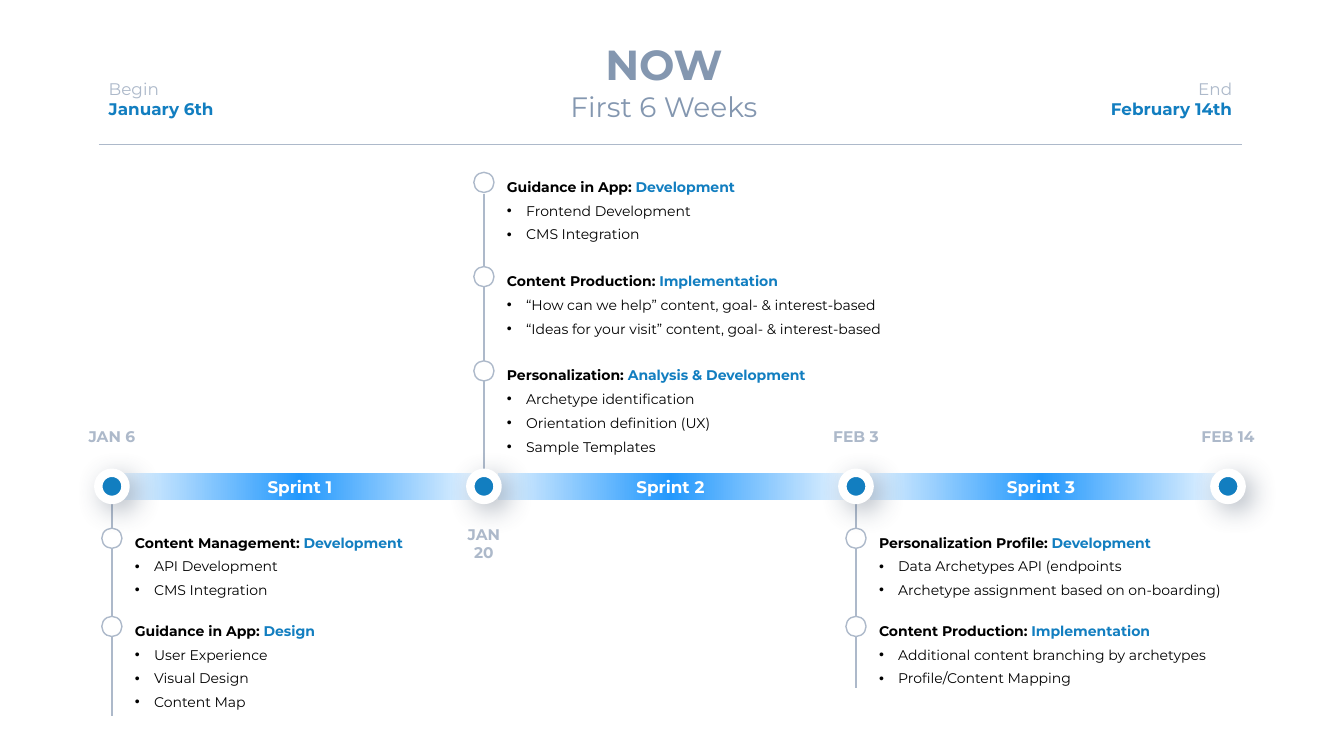
from copy import deepcopy
from dataclasses import dataclass

from lxml.etree import SubElement
from pptx import Presentation
from pptx.dml.color import RGBColor
from pptx.enum.shapes import MSO_CONNECTOR, MSO_SHAPE
from pptx.enum.text import MSO_ANCHOR, MSO_AUTO_SIZE, PP_ALIGN
from pptx.oxml.ns import qn
from pptx.util import Inches, Pt


@dataclass(frozen=True)
class Theme:
    font: str = "Montserrat"
    black: RGBColor = RGBColor.from_string("000000")
    white: RGBColor = RGBColor.from_string("FFFFFF")
    blue: RGBColor = RGBColor.from_string("127EC0")
    bright: RGBColor = RGBColor.from_string("2298FD")
    gray: RGBColor = RGBColor.from_string("ADB9CA")
    slate: RGBColor = RGBColor.from_string("8497B0")
    shadow: RGBColor = RGBColor.from_string("44546A")
    title: int = 30
    subtitle: int = 20
    label: int = 12
    date: int = 11
    body: int = 10


theme = Theme()
presentation = Presentation()
presentation.slide_width = Inches(13.33)
presentation.slide_height = Inches(7.5)
slide = presentation.slides.add_slide(presentation.slide_layouts[5])


def add_run(paragraph, text, size, color, bold=False):
    run = paragraph.add_run()
    run.text = text
    run.font.name = theme.font
    run.font.size = Pt(size)
    run.font.bold = bold
    run.font.color.rgb = color


def add_line(left, top, right, bottom, width):
    line = slide.shapes.add_connector(
        MSO_CONNECTOR.STRAIGHT, Inches(left), Inches(top), Inches(right), Inches(bottom)
    )
    line.line.color.rgb = theme.gray
    line.line.width = Pt(width)
    SubElement(line._element.spPr, qn("a:effectLst"))


title = slide.shapes.title
title.left, title.top = Inches(5.44), Inches(0.28)
title.width, title.height = Inches(2.29), Inches(1.04)
title_frame = title.text_frame
title_frame.auto_size = MSO_AUTO_SIZE.NONE
title_frame.word_wrap = False
title_frame.vertical_anchor = MSO_ANCHOR.MIDDLE
title_lines = [("NOW", theme.title, True), ("First 6 Weeks", theme.subtitle, False)]
for index, (text, size, bold) in enumerate(title_lines):
    paragraph = title_frame.paragraphs[0] if index == 0 else title_frame.add_paragraph()
    paragraph.alignment = PP_ALIGN.CENTER
    add_run(paragraph, text, size, theme.slate, bold)

endpoints = [
    (0.98, 1.25, PP_ALIGN.LEFT, "Begin", "January 6th"),
    (10.91, 1.41, PP_ALIGN.RIGHT, "End", "February 14th"),
]
for left, width, alignment, caption, date in endpoints:
    box = slide.shapes.add_textbox(Inches(left), Inches(0.73), Inches(width), Inches(0.5))
    box.text_frame.word_wrap = False
    paragraph = box.text_frame.paragraphs[0]
    paragraph.alignment = alignment
    add_run(paragraph, caption, theme.label, theme.gray)
    paragraph = box.text_frame.add_paragraph()
    paragraph.alignment = alignment
    add_run(paragraph, date, theme.label, theme.blue, True)

add_line(0.98, 1.43, 12.32, 1.43, 0.5)

bar_top, dot_size, node_size = 4.69, 0.27, 0.2
milestones = [1.11 + 3.69 * index for index in range(4)]

branches = [
    (milestones[1], 1.92, bar_top, 1.71, 0.935, [
        (2.49, "Guidance in App: ", "Development",
         ["Frontend Development", "CMS Integration"]),
        (3.96, "Content Production: ", "Implementation",
         ["“How can we help” content, goal- & interest-based",
          "“Ideas for your visit” content, goal- & interest-based"]),
        (3.2, "Personalization: ", "Analysis & Development",
         ["Archetype identification", "Orientation definition (UX)", "Sample Templates"]),
    ]),
    (milestones[0], 4.96, 7.1, 5.24, 0.875, [
        (2.89, "Content Management: ", "Development",
         ["API Development", "CMS Integration"]),
        (2.01, "Guidance in App: ", "Design",
         ["User Experience", "Visual Design", "Content Map"]),
    ]),
    (milestones[2], 4.96, 6.83, 5.24, 0.875, [
        (3.63, "Personalization Profile: ", "Development",
         ["Data Archetypes API (endpoints", "Archetype assignment based on on-boarding)"]),
        (3.49, "Content Production: ", "Implementation",
         ["Additional content branching by archetypes", "Profile/Content Mapping"]),
    ]),
]
for center, line_top, line_bottom, first_top, step, tasks in branches:
    add_line(center, line_top, center, line_bottom, 1)
    for index, (width, heading, phase, items) in enumerate(tasks):
        top = first_top + step * index
        node = slide.shapes.add_shape(
            MSO_SHAPE.OVAL, Inches(center - node_size / 2), Inches(top),
            Inches(node_size), Inches(node_size)
        )
        node.shadow.inherit = False
        node.fill.solid()
        node.fill.fore_color.rgb = theme.white
        node.line.color.rgb = theme.gray
        node.line.width = Pt(1)

        box = slide.shapes.add_textbox(
            Inches(center + 0.13), Inches(top - 0.06),
            Inches(width), Inches(0.32 + 0.235 * len(items))
        )
        box.text_frame.word_wrap = False
        paragraph = box.text_frame.paragraphs[0]
        paragraph.line_spacing = Pt(17)
        add_run(paragraph, heading, theme.body, theme.black, True)
        add_run(paragraph, phase, theme.body, theme.blue, True)
        for item in items:
            paragraph = box.text_frame.add_paragraph()
            paragraph.line_spacing = Pt(17)
            properties = paragraph._p.get_or_add_pPr()
            properties.set("marL", str(Inches(0.19)))
            properties.set("indent", str(Inches(-0.19)))
            SubElement(properties, qn("a:buFont"), typeface="Arial")
            SubElement(properties, qn("a:buChar"), char="•")
            add_run(paragraph, item, theme.body, theme.black)

dates = [("JAN 6", 4.19), ("JAN 20", 5.16), ("FEB 3", 4.19), ("FEB 14", 4.19)]
for center, (date, top) in zip(milestones, dates):
    box = slide.shapes.add_textbox(Inches(center - 0.37), Inches(top), Inches(0.74), Inches(0.29))
    box.text_frame.word_wrap = False
    paragraph = box.text_frame.paragraphs[0]
    paragraph.alignment = PP_ALIGN.CENTER
    add_run(paragraph, date, theme.date, theme.gray, True)

sprints = [("Sprint 3", 8.36, 3.93), ("Sprint 2", 4.67, 3.96), ("Sprint 1", 1.01, 3.93)]
for name, left, width in sprints:
    bar = slide.shapes.add_shape(
        MSO_SHAPE.RECTANGLE, Inches(left), Inches(bar_top), Inches(width), Inches(dot_size)
    )
    bar.shadow.inherit = False
    bar.line.fill.background()
    bar.fill.gradient()
    bar.fill.gradient_angle = 0
    for stop in bar.fill.gradient_stops:
        stop.color.rgb = theme.white
    first_stop = bar._element.spPr.find(".//" + qn("a:gs"))
    middle_stop = deepcopy(first_stop)
    middle_stop.set("pos", "50000")
    first_stop.addnext(middle_stop)
    bar.fill.gradient_stops[1].color.rgb = theme.bright
    bar.text_frame.vertical_anchor = MSO_ANCHOR.MIDDLE
    paragraph = bar.text_frame.paragraphs[0]
    paragraph.alignment = PP_ALIGN.CENTER
    add_run(paragraph, name, theme.label, theme.white, True)

for center in milestones:
    dot = slide.shapes.add_shape(
        MSO_SHAPE.OVAL, Inches(center - dot_size / 2), Inches(bar_top),
        Inches(dot_size), Inches(dot_size)
    )
    dot.shadow.inherit = False
    dot.fill.solid()
    dot.fill.fore_color.rgb = theme.blue
    dot.line.color.rgb = theme.white
    dot.line.width = Pt(6)
    effects = dot._element.spPr.find(qn("a:effectLst"))
    shadow = SubElement(
        effects, qn("a:outerShdw"), blurRad=str(Pt(19)), dist=str(Pt(7)),
        dir="2700000", algn="tl", rotWithShape="0"
    )
    shadow_color = SubElement(shadow, qn("a:srgbClr"), val=str(theme.shadow))
    SubElement(shadow_color, qn("a:alpha"), val="40000")

presentation.save("out.pptx")
